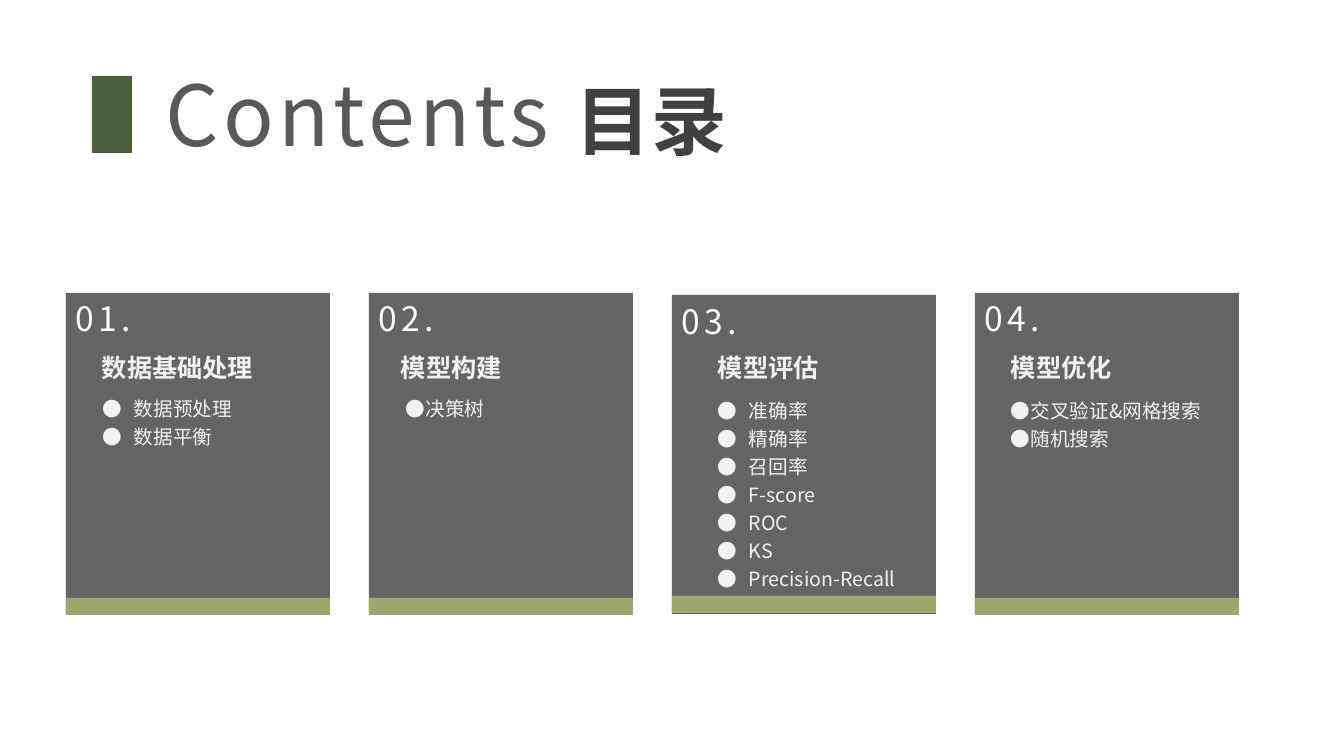
from dataclasses import dataclass

from lxml.etree import SubElement
from pptx import Presentation
from pptx.dml.color import RGBColor
from pptx.enum.shapes import MSO_SHAPE
from pptx.enum.text import MSO_AUTO_SIZE
from pptx.oxml.ns import qn
from pptx.util import Emu, Pt

FONT = "Noto Sans CJK SC"
EMU_PER_PX = 914400 / 100.8
CARD_LEFT, CARD_PITCH, CARD_WIDTH, CARD_HEIGHT = 66, 303, 264, 319
BAR_HEIGHT = 17
LINE_HEIGHT = 28


@dataclass(frozen=True)
class Card:
    heading: str
    items: tuple[str, ...]
    heading_left: int
    list_left: int
    list_top: int
    indent: int
    top: int = 293
    number_top: int = 293
    bar_top: int = 598


CARDS = (
    Card("数据基础处理", ("数据预处理", "数据平衡"), 92, 93, 387, 31),
    Card("模型构建", ("决策树",), 391, 396, 387, 19),
    Card(
        "模型评估",
        ("准确率", "精确率", "召回率", "F-score", "ROC", "KS", "Precision-Recall"),
        708, 708, 389, 31, top=295, number_top=296, bar_top=596,
    ),
    Card("模型优化", ("交叉验证&网格搜索", "随机搜索"), 1001, 1001, 389, 19),
)


def px(length: int) -> Emu:
    return Emu(round(length * EMU_PER_PX))


def color(value: str) -> RGBColor:
    return RGBColor.from_string(value)


def add_block(page, left: int, top: int, width: int, height: int,
              fill: str, opacity: int = 100) -> None:
    """Draw a plain rectangle; opacity is a percentage."""
    block = page.shapes.add_shape(
        MSO_SHAPE.RECTANGLE, px(left), px(top), px(width), px(height))
    block.shadow.inherit = False
    block.line.fill.background()
    block.fill.solid()
    block.fill.fore_color.rgb = color(fill)
    if opacity < 100:
        tint = block.fill._xPr.find(qn("a:solidFill"))[0]
        SubElement(tint, qn("a:alpha"), val=str(opacity * 1000))


def add_bullet(para, indent: int) -> None:
    para.line_spacing = Pt(20)
    properties = para._p.get_or_add_pPr()
    properties.set("marL", str(px(indent)))
    properties.set("indent", str(-px(indent)))
    SubElement(properties, qn("a:buFont"), typeface=FONT)
    SubElement(properties, qn("a:buChar"), char="●")


def add_text(page, text: str, left: int, top: int, width: int, height: int, *,
             size: int, fill: str, bold: bool = False, spacing: int = 0,
             wrap: bool = True, indent: int = 0) -> None:
    """Write one paragraph per line of text, bulleted when indent is given."""
    box = page.shapes.add_textbox(px(left), px(top), px(width), px(height))
    frame = box.text_frame
    frame.word_wrap = wrap
    frame.auto_size = MSO_AUTO_SIZE.SHAPE_TO_FIT_TEXT
    for index, line in enumerate(text.split("\n")):
        para = frame.add_paragraph() if index else frame.paragraphs[0]
        if indent:
            add_bullet(para, indent)
        span = para.add_run()
        span.text = line
        span.font.size = Pt(size)
        span.font.bold = bold
        span.font.color.rgb = color(fill)
        span.font.name = FONT
        properties = span._r.get_or_add_rPr()
        SubElement(properties, qn("a:ea"), typeface=FONT)
        if spacing:
            properties.set("spc", str(spacing * 100))


def add_card(page, index: int, card: Card) -> None:
    left = CARD_LEFT + index * CARD_PITCH
    add_block(page, left, card.top, CARD_WIDTH, CARD_HEIGHT, "0D0D0D", opacity=64)
    add_block(page, left, card.bar_top, CARD_WIDTH, BAR_HEIGHT, "9FA66C")
    add_text(page, f"{index + 1:02}.", left, card.number_top, 125, 50,
             size=24, fill="FFFFFF", spacing=3)
    add_text(page, card.heading, card.heading_left, 347, 208, 40,
             size=18, fill="F2F2F2", bold=True)
    add_text(page, "\n".join(card.items), card.list_left, card.list_top,
             211, 10 + LINE_HEIGHT * len(card.items),
             size=14, fill="F2F2F2", indent=card.indent)


def main() -> None:
    deck = Presentation()
    deck.slide_width, deck.slide_height = px(1344), px(756)
    page = deck.slides.add_slide(deck.slide_layouts[6])
    add_block(page, 92, 76, 40, 77, "4D603E")
    add_text(page, "Contents", 156, 58, 516, 112, size=60, fill="595959", spacing=3)
    add_text(page, "目录", 566, 69, 173, 102,
             size=54, fill="404040", bold=True, wrap=False)
    for index, card in enumerate(CARDS):
        add_card(page, index, card)
    deck.save("out.pptx")


if __name__ == "__main__":
    main()
